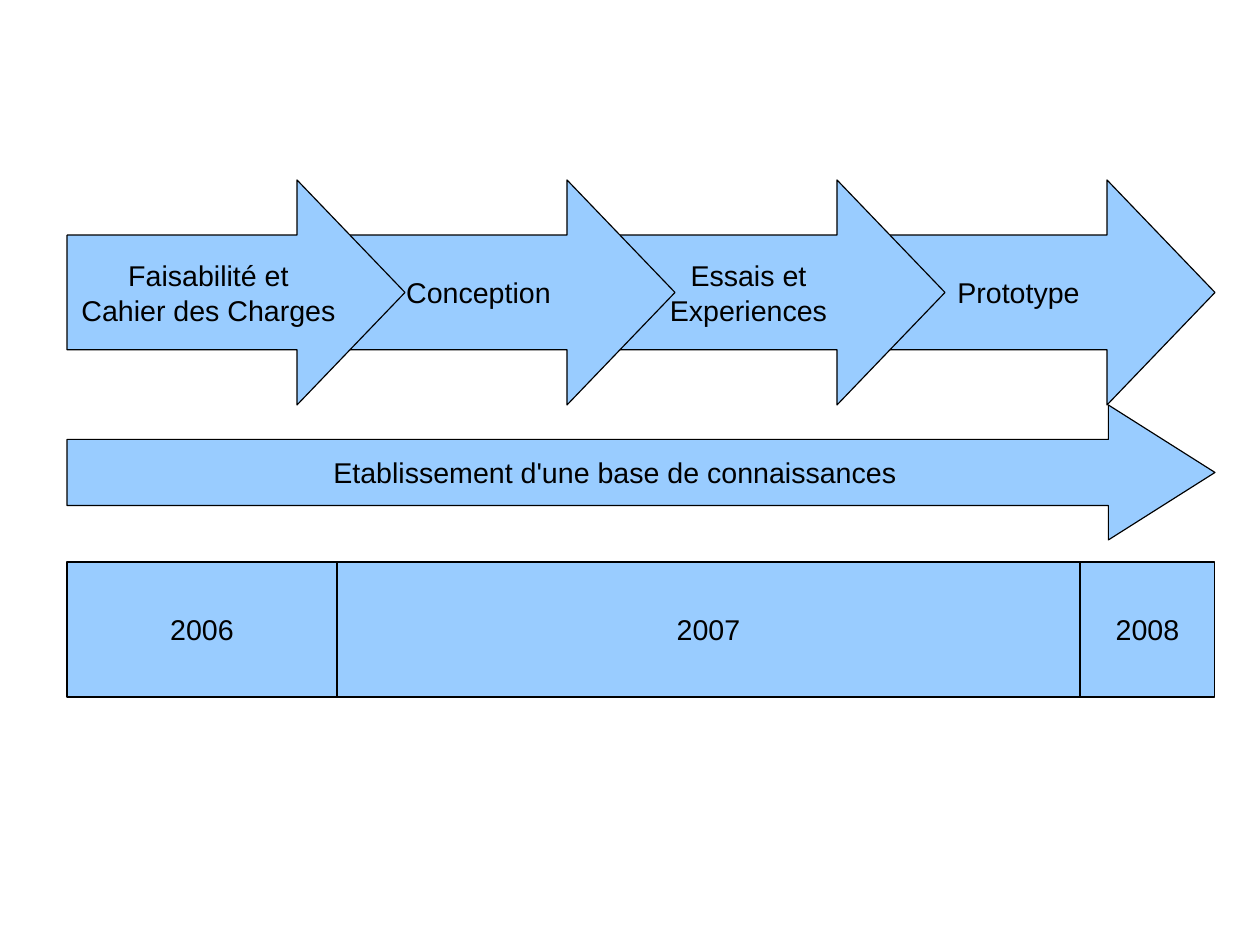
from pptx import Presentation
from pptx.dml.color import RGBColor
from pptx.enum.shapes import MSO_SHAPE
from pptx.enum.text import MSO_ANCHOR, PP_ALIGN
from pptx.util import Pt

ARROW = MSO_SHAPE.RIGHT_ARROW
RECT = MSO_SHAPE.RECTANGLE
MIDDLE = MSO_ANCHOR.MIDDLE
CENTER = PP_ALIGN.CENTER

PX = 8000  # EMU in one px
LEFT, WIDE, STEP = 67, 1148, 270

STAGES = ["Faisabilité et\nCahier des Charges", "Conception",
          "Essais et\nExperiences", "Prototype"]
YEARS = [("2006", 270), ("2007", 743), ("2008", 135)]


def color(code):
    return RGBColor.from_string(code)


def add_box(group, kind, text, *place):
    box = group.shapes.add_shape(kind, *(n * PX for n in place))
    box.shadow.inherit = False
    box.fill.solid()
    box.fill.fore_color.rgb = color("99CCFF")
    box.line.color.rgb = color("000000")
    box.line.width = 0
    frame = box.text_frame
    frame.word_wrap = True
    frame.vertical_anchor = MIDDLE
    frame.text = text
    for para in frame.paragraphs:
        para.alignment = CENTER
        para.font.name = "Arial"
        para.font.size = Pt(18)
        para.font.color.rgb = color("000000")
    return box


def add_arrow(group, text, place, shaft, head):
    arrow = add_box(group, ARROW, text, *place)
    arrow.adjustments[0] = shaft
    arrow.adjustments[1] = head


def main():
    deck = Presentation()
    deck.slide_width, deck.slide_height = 1260 * PX, 945 * PX
    slide = deck.slides.add_slide(deck.slide_layouts[6])
    group = slide.shapes.add_group_shape()

    # Knowledge base, along all stages
    add_arrow(group, "Etablissement d'une base de connaissances",
              (LEFT, 405, WIDE, 135), 0.49, 0.79)

    # Stages, last one first so that each head lies over the next stage
    for i, name in reversed(list(enumerate(STAGES))):
        add_arrow(group, name, (LEFT + i * STEP, 180, 338, 225), 0.51, 0.48)

    # Years
    left = LEFT
    for year, width in YEARS:
        add_box(group, RECT, year, left, 562, width, 135)
        left += width

    deck.save("out.pptx")


if __name__ == "__main__":
    main()
